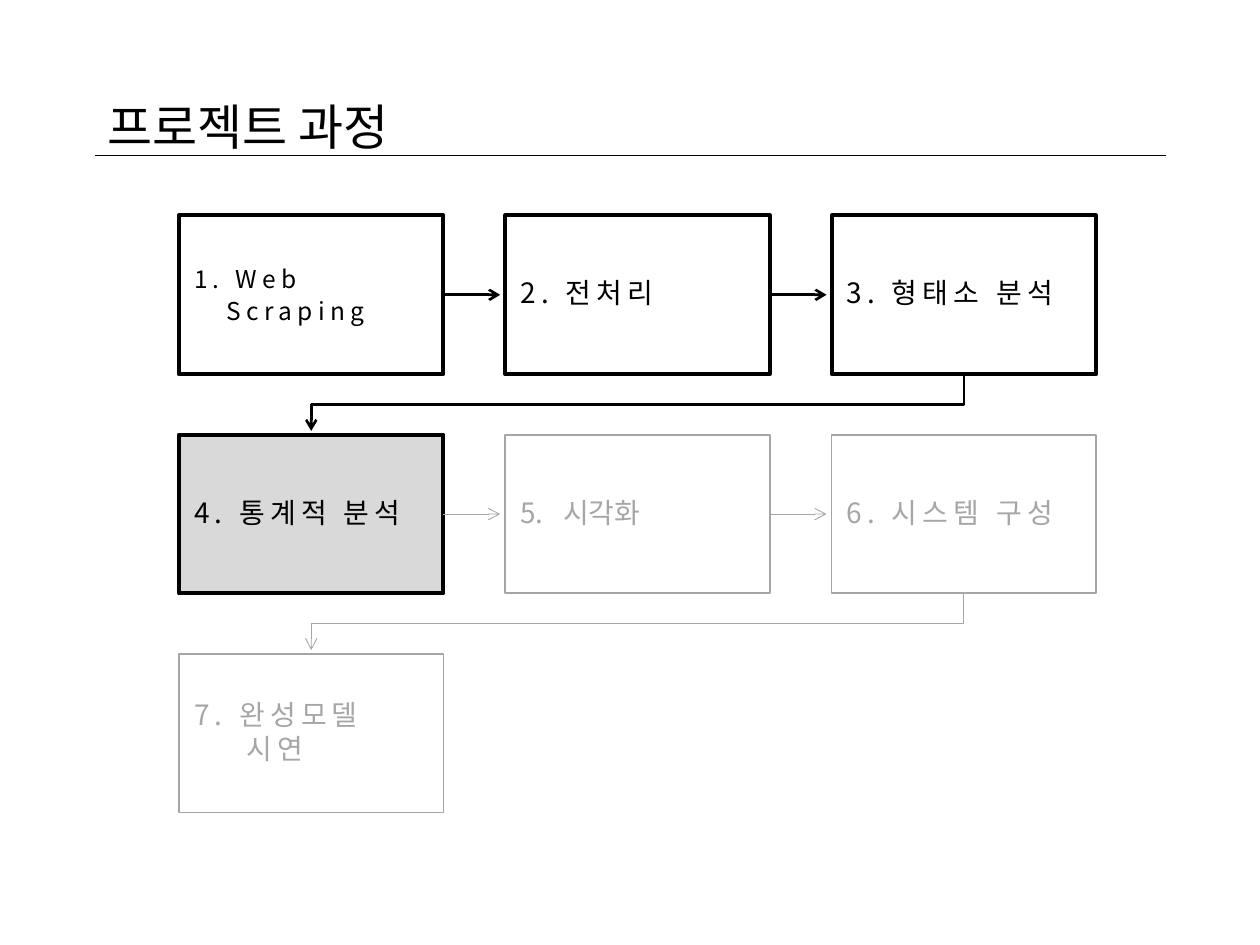
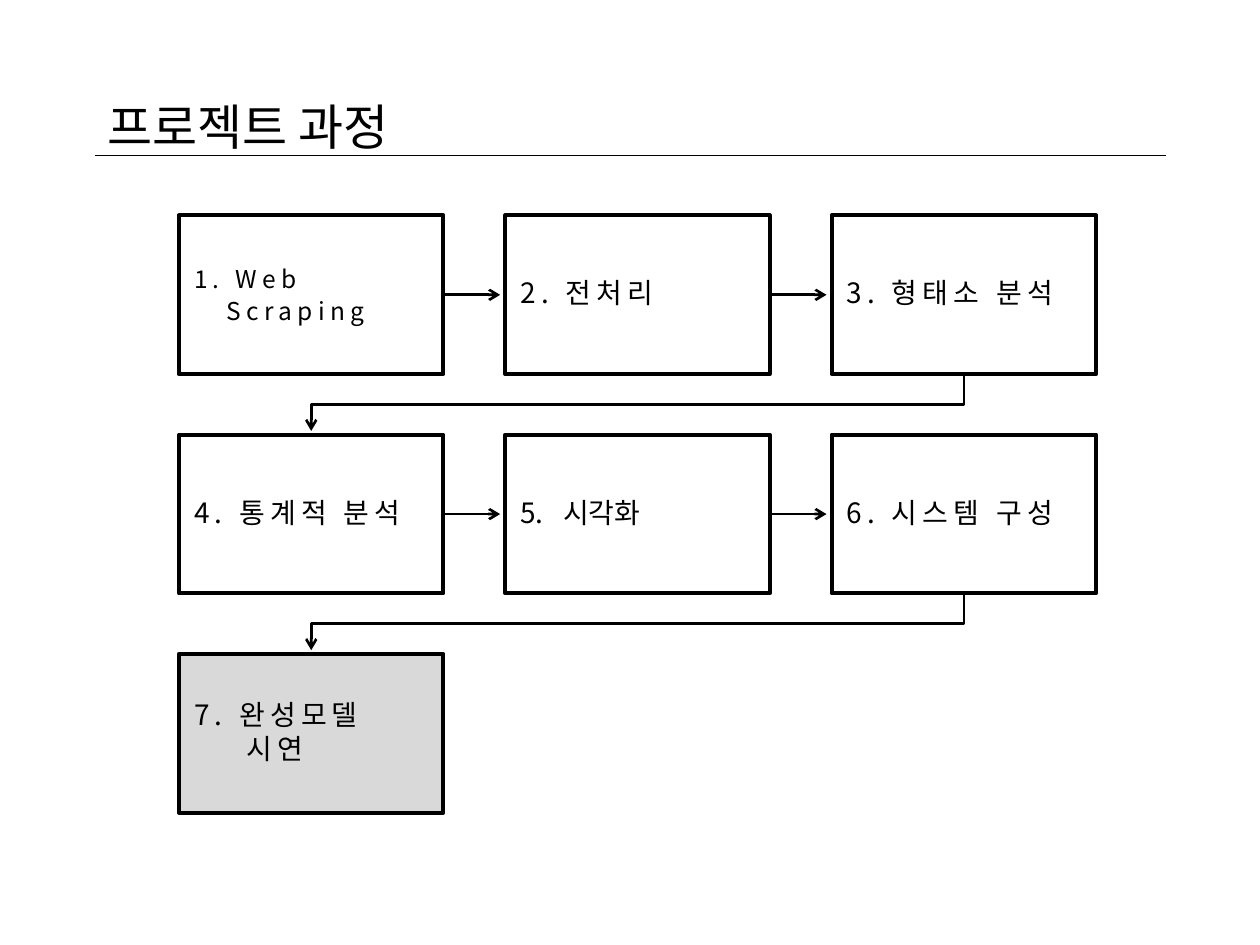
"""Build two project process slides, each marking the current step."""
import pptx
import pptx.dml.color
import pptx.enum.shapes
import pptx.enum.text
import pptx.oxml.ns
import pptx.util
from lxml import etree

Inches = pptx.util.Inches
Pt = pptx.util.Pt
qn = pptx.oxml.ns.qn
rgb = pptx.dml.color.RGBColor.from_string
Kind = pptx.enum.shapes

FONT = "Noto Sans CJK KR"
HUES = {"ink": "000000", "dim": "A6A6A6", "mark": "D9D9D9", "plain": "FFFFFF"}
LEFT, TOP, WIDE, HIGH = 1.42, 1.71, 2.1, 1.26
STEP_X, STEP_Y = 2.59, 1.74
REACH, CLEAR = 0.45, 0.03

STEPS = [
    {"text": "1. Web\nScraping", "size": 14, "space": 3, "hang": 0.26, "lead": 1.0},
    {"text": "2. 전처리"},
    {"text": "3. 형태소 분석"},
    {"text": "4. 통계적 분석"},
    {"text": "5.\t시각화", "space": 0, "tab": 0.34},
    {"text": "6. 시스템 구성"},
    {"text": "7. 완성모델\n시연", "hang": 0.42},
]


def style_text(para, size, hue, space=0, lead=0.9):
    para.alignment = pptx.enum.text.PP_ALIGN.LEFT
    para.line_spacing = lead
    for run in para.runs:
        run.font.size = Pt(size)
        run.font.name = FONT
        run.font.color.rgb = rgb(hue)
        props = run.font._element
        props.set("spc", str(space * 100))
        etree.SubElement(props, qn("a:ea"), typeface=FONT)


def style_line(line, hue, width, head=True):
    line.line.color.rgb = rgb(hue)
    line.line.width = Pt(width)
    props = line.element.spPr
    if head:
        etree.SubElement(props.find(qn("a:ln")), qn("a:tailEnd"), type="arrow")
    for old in props.findall(qn("a:effectLst")):
        props.remove(old)
    etree.SubElement(props, qn("a:effectLst"))


deck = pptx.Presentation()
deck.slide_width = Inches(10)
deck.slide_height = Inches(7.5)

for now in (3, 6):
    slide = deck.slides.add_slide(deck.slide_layouts[5])
    shapes = slide.shapes

    title = shapes.title
    title.left, title.top = Inches(0.75), Inches(0.6)
    title.width, title.height = Inches(9), Inches(0.85)
    title.text_frame.text = "프로젝트 과정"
    title.text_frame.vertical_anchor = pptx.enum.text.MSO_ANCHOR.MIDDLE
    style_text(title.text_frame.paragraphs[0], 28, HUES["ink"])

    rule = shapes.add_connector(
        Kind.MSO_CONNECTOR.STRAIGHT, Inches(0.75), Inches(1.23), Inches(9.25), Inches(1.23)
    )
    style_line(rule, HUES["ink"], 0.5, head=False)

    for i, step in enumerate(STEPS):
        row, col = divmod(i, 3)
        x, y = LEFT + col * STEP_X, TOP + row * STEP_Y
        hue = HUES["ink"] if i <= now else HUES["dim"]

        box = shapes.add_shape(
            Kind.MSO_SHAPE.RECTANGLE, Inches(x), Inches(y), Inches(WIDE), Inches(HIGH)
        )
        box.shadow.inherit = False
        box.fill.solid()
        box.fill.fore_color.rgb = rgb(HUES["mark" if i == now else "plain"])
        box.line.color.rgb = rgb(hue)
        box.line.width = Pt(2.25 if i <= now else 1)

        frame = box.text_frame
        frame.word_wrap = True
        frame.vertical_anchor = pptx.enum.text.MSO_ANCHOR.MIDDLE
        frame.margin_left = frame.margin_right = Inches(0.12)
        frame.margin_top = frame.margin_bottom = Inches(0.12)
        frame.text = step["text"]
        size = step.get("size", 16)
        for n, para in enumerate(frame.paragraphs):
            style_text(para, size, hue, step.get("space", 3), step.get("lead", 0.9))
            para.space_after = Pt(size / 8)
            props = para._p.get_or_add_pPr()
            if n:
                props.set("marL", str(Inches(step["hang"])))
            if "tab" in step:
                tabs = etree.SubElement(props, qn("a:tabLst"))
                etree.SubElement(tabs, qn("a:tab"), pos=str(Inches(step["tab"])), algn="l")

        if i == len(STEPS) - 1:
            continue
        if col < 2:
            mid = Inches(y + HIGH / 2)
            arrow = shapes.add_connector(
                Kind.MSO_CONNECTOR.STRAIGHT,
                Inches(x + WIDE), mid, Inches(x + WIDE + REACH), mid,
            )
        else:
            start, end = x + WIDE / 2, LEFT + WIDE / 2
            turn = y + (HIGH + STEP_Y) / 2
            path = shapes.build_freeform(Inches(start), Inches(y + HIGH))
            path.add_line_segments(
                [
                    (Inches(start), Inches(turn)),
                    (Inches(end), Inches(turn)),
                    (Inches(end), Inches(y + STEP_Y - CLEAR)),
                ],
                close=False,
            )
            arrow = path.convert_to_shape()
            arrow.fill.background()
        past = i < now
        style_line(arrow, HUES["ink" if past else "dim"], 1.5 if past else 0.5)

deck.save("out.pptx")
